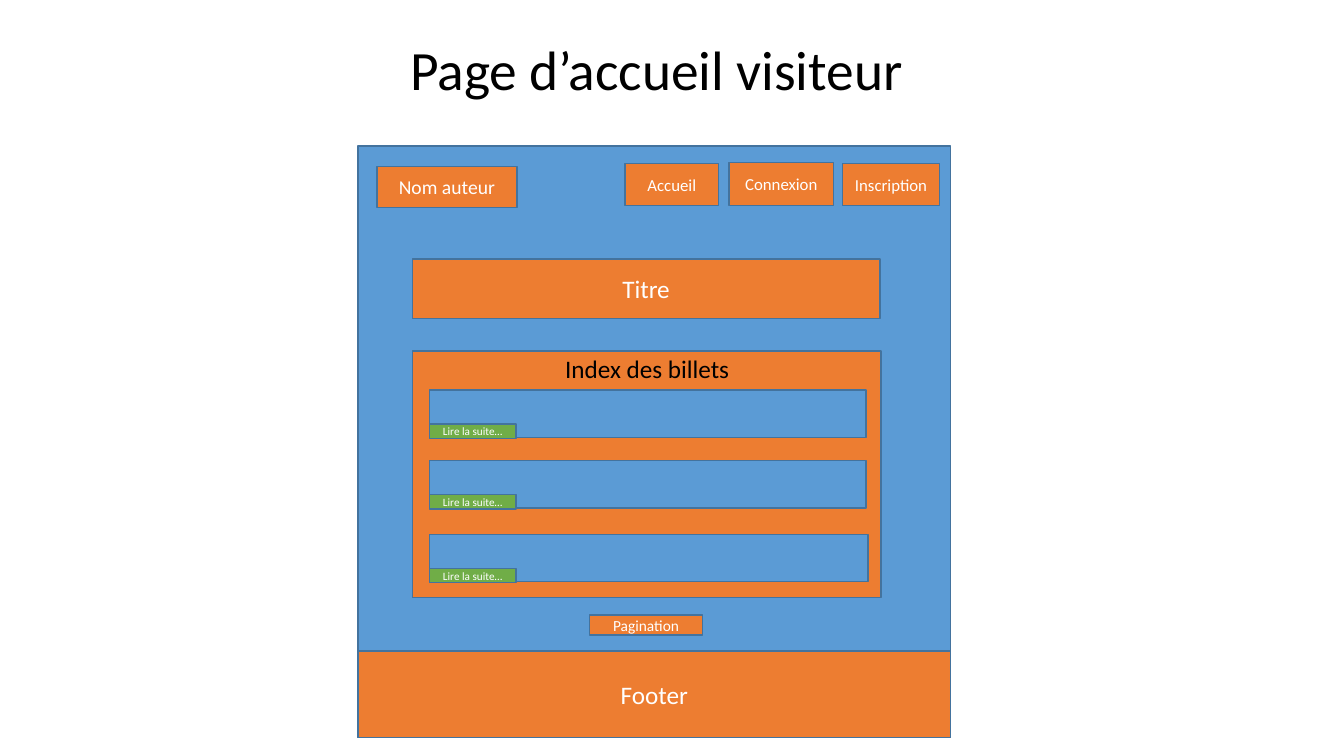
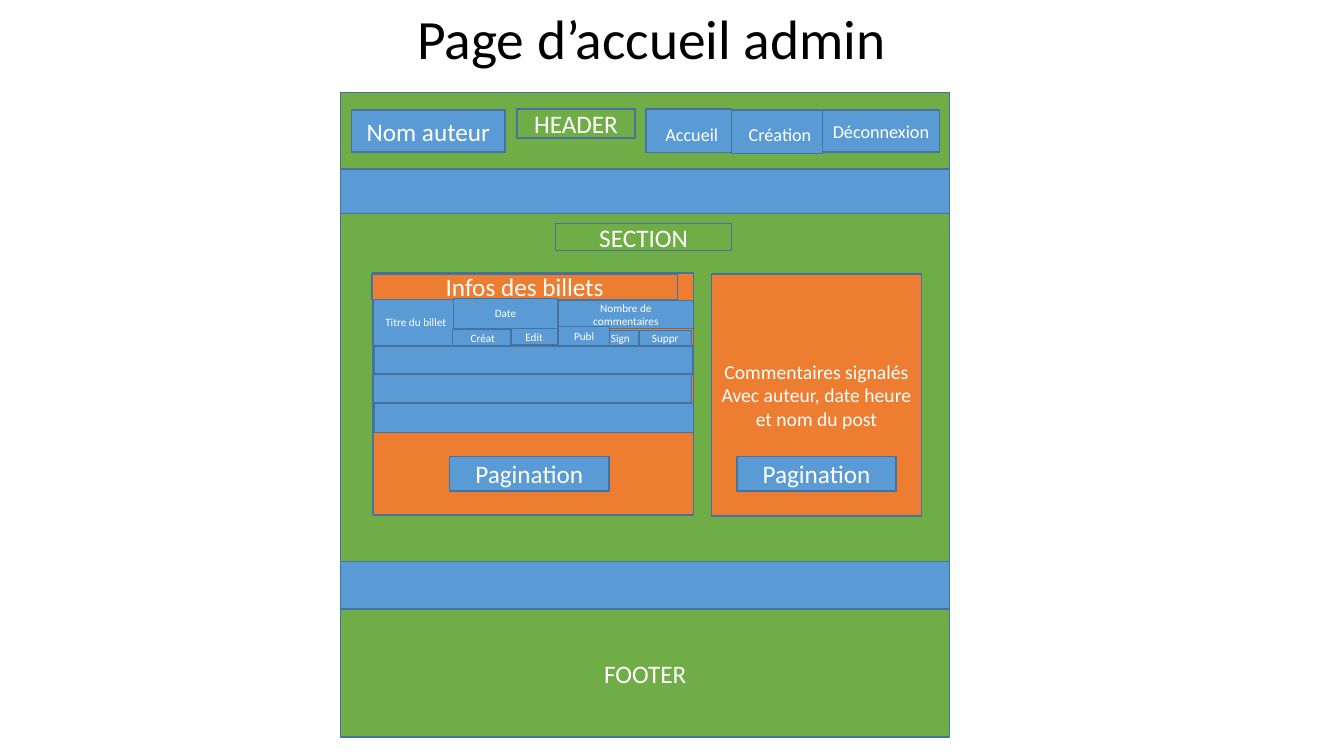
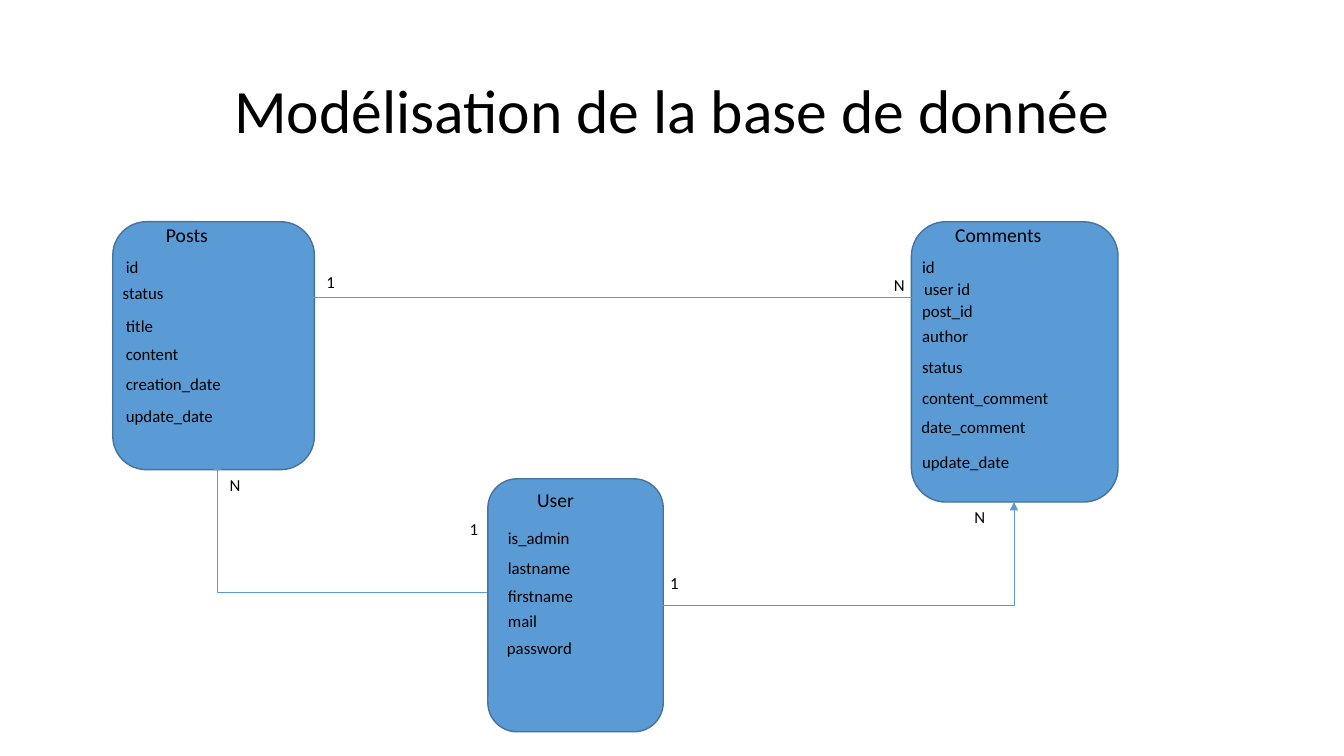
from lxml import etree
from pptx import Presentation
from pptx.dml.color import RGBColor
from pptx.enum.shapes import MSO_CONNECTOR, MSO_SHAPE
from pptx.enum.text import MSO_ANCHOR, PP_ALIGN
from pptx.oxml.ns import qn
from pptx.util import Pt

BLUE = RGBColor(0x5B, 0x9B, 0xD5)
ORANGE = RGBColor(0xED, 0x7D, 0x31)
GREEN = RGBColor(0x70, 0xAD, 0x47)
EDGE = RGBColor(0x43, 0x73, 0x9E)
WHITE = RGBColor(0xFF, 0xFF, 0xFF)
BLACK = RGBColor(0, 0, 0)
FONT = "Calibri"
RECT = MSO_SHAPE.RECTANGLE
ROUND = MSO_SHAPE.ROUNDED_RECTANGLE
STRAIGHT = MSO_CONNECTOR.STRAIGHT
ELBOW = MSO_CONNECTOR.ELBOW
LEFT = PP_ALIGN.LEFT
CENTER = PP_ALIGN.CENTER
TOP = MSO_ANCHOR.TOP
MIDDLE = MSO_ANCHOR.MIDDLE
INSET = (7.2, 3.6, 7.2)
TIGHT = (7.2, 3.6, 0)
NUDGE = (9, 8, 5)


def write(shape, text, size=18, color=WHITE, align=CENTER, anchor=MIDDLE,
          pad=INSET, space=None):
    frame = shape.text_frame
    frame.word_wrap = True
    frame.vertical_anchor = anchor
    frame.margin_left, frame.margin_top, frame.margin_right = map(Pt, pad)
    frame.text = text
    for para in frame.paragraphs:
        para.alignment = align
        para.line_spacing = space
        para.font.size = Pt(size)
        para.font.name = FONT
        para.font.color.rgb = color


def box(slide, at, fill, text="", kind=RECT, edge=EDGE, **style):
    shape = slide.shapes.add_shape(kind, *map(Pt, at))
    shape.shadow.inherit = False
    shape.fill.solid()
    shape.fill.fore_color.rgb = fill
    shape.line.color.rgb = edge
    shape.line.width = Pt(1)
    if text:
        write(shape, text, **style)


def label(slide, at, text, **style):
    shape = slide.shapes.add_textbox(*map(Pt, at))
    write(shape, text, **{"color": BLACK, "anchor": TOP, **style})


def title(slide, at, text, size=39.6):
    label(slide, at, text, size=size, anchor=MIDDLE, space=0.9)


def link(slide, start, end, kind=STRAIGHT):
    line = slide.shapes.add_connector(kind, *map(Pt, start + end))
    line.line.color.rgb = BLUE
    line.line.width = Pt(0.5)
    props = line._element.spPr
    if kind == ELBOW:
        props.find(qn("a:prstGeom")).set("prst", "bentConnector2")
        frame = props.find(qn("a:xfrm"))
        if end[0] < start[0] and end[1] < start[1]:
            del frame.attrib["flipH"], frame.attrib["flipV"]
            frame.set("rot", "10800000")
        tail = etree.SubElement(props.find(qn("a:ln")), qn("a:tailEnd"))
        tail.set("type", "triangle")
    etree.SubElement(props, qn("a:effectLst"))


def table(slide, at, name, head, fields, align=CENTER):
    box(slide, at, BLUE, kind=ROUND)
    left, top, width = head
    label(slide, (left, top, width, 24.5), name, size=14, align=align)
    for text, left, top in fields:
        label(slide, (left, top, 120, 21.6), text, size=12, align=LEFT)


def visitor(slide):
    title(slide, (66, 29, 806, 46), "Page d’accueil visiteur")
    box(slide, (255.6, 104.4, 423.4, 422.6), BLUE)
    for text, size, at in (
        ("Titre", 18, (294.5, 185, 334, 42.5)),
        ("Nom auteur", 14, (269.3, 118.8, 100, 29.5)),
        ("Accueil", 12, (446.4, 116.6, 67, 30.2)),
        ("Connexion", 12, (520.6, 116, 75, 31)),
        ("Inscription", 12, (602, 116.6, 69, 30.2)),
        ("", 18, (294.5, 250.6, 334.8, 176.4)),
        ("Pagination", 11, (421.2, 439.2, 80.6, 14.4)),
        ("Footer", 18, (255.6, 465, 423.4, 62)),
    ):
        box(slide, at, ORANGE, text, size=size)
    label(slide, (359.3, 249, 206, 28.8), "Index des billets")
    for top, width in ((278.6, 311.8), (329, 311.8), (381.6, 313.2)):
        box(slide, (306.7, top, width, 33.8), BLUE)
        box(slide, (306.7, top + 24.3, 62, 10.4), GREEN, "Lire la suite…",
            size=8)


def admin(slide):
    title(slide, (57.6, 13, 815.8, 33.8), "Page d’accueil admin")
    left, width = 243.4, 435
    box(slide, (left, 66.2, width, 460), BLUE)
    for text, top, height in (("FOOTER", 435, 91.4), ("", 152.6, 248.4),
                              ("", 66.2, 54.7)):
        box(slide, (left, top, width, height), GREEN, text)
    box(slide, (369.4, 77.8, 84.2, 20.9), GREEN, "HEADER")
    box(slide, (396.7, 159.8, 126, 19.4), GREEN, "SECTION")
    for text, size, pad, at in (
        ("Nom auteur", 18, INSET, (251.3, 78.5, 109.4, 30.2)),
        ("Création", 13, NUDGE, (522.7, 78.5, 64.8, 31)),
        ("Déconnexion", 13, INSET, (587.5, 78.5, 83.5, 30.2)),
        ("Accueil", 13, NUDGE, (461.5, 77.8, 61.2, 31)),
    ):
        box(slide, at, BLUE, text, size=size, pad=pad)
    box(slide, (266.4, 195, 229, 172.8), ORANGE)
    box(slide, (508.3, 195.8, 149.8, 172.8), ORANGE,
        "Commentaires signalés\nAvec auteur, date heure et nom du post",
        size=14)
    box(slide, (265.7, 195.8, 218.2, 18), ORANGE, "Infos des billets")
    for text, at in (
        ("Titre du billet", (266.4, 213.8, 61.2, 33.1)),
        ("", (267.1, 247, 227.5, 20.2)),
        ("", (266.4, 267.1, 227.5, 20.9)),
        ("", (267.1, 288, 228.2, 20.9)),
        ("Date", (324, 213.1, 74.2, 21.6)),
        ("Nombre de commentaires", (398.9, 214.6, 96.5, 20.2)),
        ("Créat", (323.3, 235.4, 43.2, 11.5)),
        ("Edit", (365, 234.7, 33.1, 11.5)),
        ("Sign", (429.1, 236.2, 28.1, 10.8)),
        ("Suppr", (456.5, 236.2, 37.4, 10.8)),
        ("Publ", (398.9, 233.3, 36.7, 13.7)),
    ):
        box(slide, at, BLUE, text, size=8)
    for left in (321.1, 526.3):
        box(slide, (left, 326.2, 113.8, 24.5), BLUE, "Pagination")


def model(slide):
    title(slide, (66.2, 28.8, 828, 104.4),
          "Modélisation de la base de donnée", size=44)
    table(slide, (80.6, 158.4, 144, 177.1), "Posts", (100, 155.5, 67), (
        ("id", 82.8, 180),
        ("status", 80.6, 198.7),
        ("title", 82.8, 221.8),
        ("content", 82.8, 242),
        ("creation_date", 82.8, 263.5),
        ("update_date", 82.8, 286.6),
    ))
    table(slide, (651, 158.4, 147.6, 200.2), "Comments", (674.6, 155.5, 77), (
        ("id", 651.6, 180),
        ("post_id", 651.6, 211),
        ("author", 651.6, 229),
        ("status", 651.6, 251.3),
        ("content_comment", 651.6, 273.6),
        ("date_comment", 651, 294.5),
        ("update_date", 651.6, 319),
    ))
    table(slide, (348.5, 342, 125.3, 180.7), "User", (376.6, 345, 72), (
        ("is_admin", 355.7, 373.3),
        ("lastname", 355.7, 395),
        ("firstname", 355.7, 415),
        ("mail", 355.7, 432.7),
        ("password", 355, 452.2),
    ), align=LEFT)
    for text, left, top in (
        ("1", 226, 190.8), ("N", 631.4, 193), ("N", 157, 335.5),
        ("1", 328.3, 367.2), ("N", 689, 358.6), ("1", 471.6, 405.4),
    ):
        label(slide, (left, top, 16, 21.6), text, size=12, align=LEFT,
              pad=TIGHT)
    link(slide, (473, 432.7), (724.3, 358.6), ELBOW)
    link(slide, (206, 212.4), (651.6, 212.4))
    link(slide, (347.8, 423.4), (155.5, 329.8), ELBOW)
    box(slide, (653, 198, 54, 16.6), BLUE, "user id", edge=BLUE, size=12,
        color=BLACK, align=LEFT)


def main():
    deck = Presentation()
    deck.slide_width = Pt(960)
    deck.slide_height = Pt(540)
    for draw in (visitor, admin, model):
        draw(deck.slides.add_slide(deck.slide_layouts[6]))
    deck.save("out.pptx")


if __name__ == "__main__":
    main()
